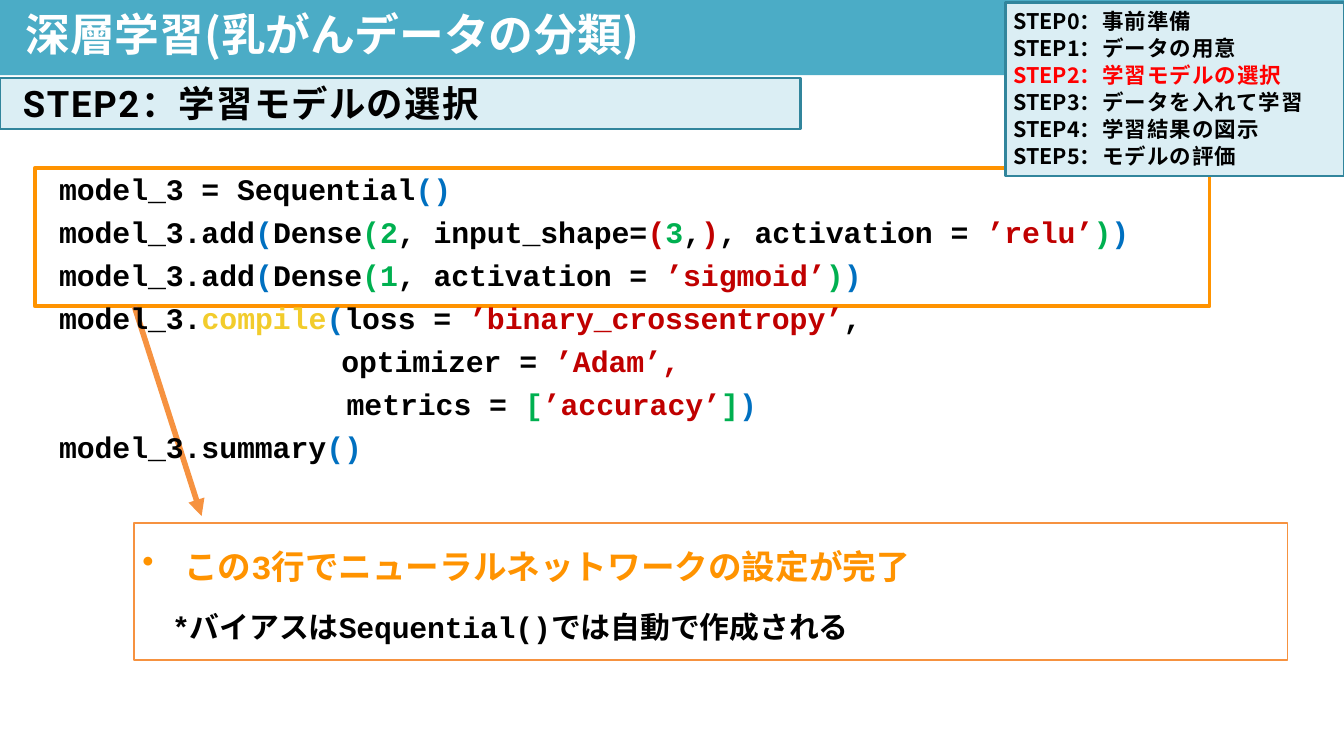
from lxml import etree
from pptx import Presentation
from pptx.dml.color import RGBColor
from pptx.enum.shapes import MSO_CONNECTOR, MSO_SHAPE
from pptx.enum.text import MSO_ANCHOR, MSO_AUTO_SIZE, PP_ALIGN
from pptx.oxml.ns import qn
from pptx.util import Inches, Pt

RECTANGLE = MSO_SHAPE.RECTANGLE
STRAIGHT = MSO_CONNECTOR.STRAIGHT
TOP = MSO_ANCHOR.TOP
NO_AUTOFIT = MSO_AUTO_SIZE.NONE
LEFT = PP_ALIGN.LEFT

WIDTH = 10
HEIGHT = WIDTH * 9 / 16
JAPANESE, MONO, HEADING = "Noto Sans CJK JP", "Courier New", "Roboto"

BLACK = RGBColor(0, 0, 0)
WHITE = RGBColor(255, 255, 255)
TEAL = RGBColor(0x4B, 0xAC, 0xC6)
DARK_TEAL = RGBColor(0x31, 0x85, 0x9C)
PALE_TEAL = RGBColor(0xDB, 0xEE, 0xF4)
ORANGE = RGBColor(0xFF, 0x93, 0)
SOFT_ORANGE = RGBColor(0xF6, 0x92, 0x40)
BLUE = RGBColor(0, 0x70, 0xC0)
GREEN = RGBColor(0, 0xB0, 0x50)
CRIMSON = RGBColor(0xC0, 0, 0)
RED = RGBColor(255, 0, 0)
YELLOW = RGBColor(0xF2, 0xCC, 0x2C)

STEPS = ["事前準備", "データの用意", "学習モデルの選択",
         "データを入れて学習", "学習結果の図示", "モデルの評価"]
CURRENT_STEP = 2

CODE = [
    (0.16, [("model_3 = Sequential", BLACK), ("()", BLUE)]),
    (0.16, [("model_3.add", BLACK), ("(", BLUE), ("Dense", BLACK), ("(2", GREEN),
            (", input_shape=", BLACK), ("(", CRIMSON), ("3", GREEN), (",", BLACK),
            (")", CRIMSON), (", activation = ", BLACK), ("’relu’", CRIMSON),
            (")", GREEN), (")", BLUE)]),
    (0.16, [("model_3.add", BLACK), ("(", BLUE), ("Dense", BLACK), ("(1", GREEN),
            (", activation = ", BLACK), ("’sigmoid’", CRIMSON),
            (")", GREEN), (")", BLUE)]),
    (0.16, [("model_3.", BLACK), ("compile", YELLOW), ("(", BLUE),
            ("loss = ", BLACK), ("’binary_crossentropy’", CRIMSON), (",", BLACK)]),
    (2.26, [("optimizer = ", BLACK), ("’Adam’,", CRIMSON)]),
    (2.3, [("metrics = ", BLACK), ("[", GREEN), ("’accuracy’", CRIMSON),
           ("]", GREEN), (")", BLUE)]),
    (0.16, [("model_3.summary", BLACK), ("()", BLUE)]),
]


def place(box, left, top, width, height):
    box.left, box.top = Inches(left), Inches(top)
    box.width, box.height = Inches(width), Inches(height)


def prepare_frame(box, top_inset=0):
    frame = box.text_frame
    frame.word_wrap = True
    frame.auto_size = NO_AUTOFIT
    frame.vertical_anchor = TOP
    frame.margin_left = frame.margin_right = frame.margin_bottom = 0
    frame.margin_top = Inches(top_inset)
    return frame


def add_text_box(page, left, top, width, height):
    box = page.shapes.add_textbox(0, 0, 0, 0)
    place(box, left, top, width, height)
    return prepare_frame(box)


def add_panel(page, left, top, width, height, fill=None, line=None, weight=1.5):
    panel = page.shapes.add_shape(RECTANGLE, 0, 0, 0, 0)
    place(panel, left, top, width, height)
    panel.shadow.inherit = False
    if fill is None:
        panel.fill.background()
    else:
        panel.fill.solid()
        panel.fill.fore_color.rgb = fill
    if line is None:
        panel.line.fill.background()
    else:
        panel.line.color.rgb = line
        panel.line.width = Pt(weight)
    return panel


def add_arrow(page, start, end, color, weight):
    arrow = page.shapes.add_connector(STRAIGHT, *map(Inches, start + end))
    arrow.line.color.rgb = color
    arrow.line.width = Pt(weight)
    etree.SubElement(arrow.line._get_or_add_ln(), qn("a:tailEnd"), type="triangle")
    etree.SubElement(arrow._element.spPr, qn("a:effectLst"))


def add_para(frame, indent=0, hanging=0, before=0, spacing=None, bullet=None):
    para = frame.paragraphs[0]
    if para.runs:
        para = frame.add_paragraph()
    para.alignment = LEFT
    para.space_before = Pt(before)
    if spacing:
        para.line_spacing = Pt(spacing)
    props = para._p.get_or_add_pPr()
    props.set("marL", str(Inches(indent)))
    props.set("indent", str(Inches(-hanging)))
    if bullet:
        etree.SubElement(props, qn("a:buChar"), char=bullet)
    else:
        etree.SubElement(props, qn("a:buNone"))
    return para


def add_span(para, text, size, color=BLACK, font=JAPANESE, tracking=0):
    span = para.add_run()
    span.text = text
    span.font.name = font
    span.font.size = Pt(size)
    span.font.bold = True
    span.font.color.rgb = color
    props = span._r.get_or_add_rPr()
    props.set("spc", str(round(tracking * 100)))
    etree.SubElement(props, qn("a:ea"), typeface=JAPANESE)


def add_callout(page):
    box = add_panel(page, 1, 3.89, 8.58, 1.02, line=SOFT_ORANGE, weight=1)
    frame = prepare_frame(box, 0.17)
    para = add_para(frame, 0.37, 0.31, before=12.3, bullet="•")
    add_span(para, "この", 18, ORANGE)
    add_span(para, "3", 18, ORANGE, MONO, -0.1)
    add_span(para, "⾏でニューラルネットワークの設定が完了", 18, ORANGE)
    para = add_para(frame, 0.28, before=12.3)
    add_span(para, "*", 16, font=MONO)
    add_span(para, "バイアスは", 16)
    add_span(para, "Sequential()", 16, font=MONO, tracking=-0.1)
    add_span(para, "では⾃動で作成される", 16)


def add_code(page):
    frame = add_text_box(page, 0.28, 1.22, 8.7, 2.25)
    for indent, spans in CODE:
        para = add_para(frame, indent, spacing=23)
        for text, color in spans:
            add_span(para, text, 16, color, MONO, -0.03)


def add_title(page):
    add_panel(page, 0, 0, WIDTH, 0.56, fill=TEAL)
    title = page.shapes.title
    title._element.getparent().append(title._element)
    place(title, 0.18, 0.04, 5.44, 0.36)
    para = add_para(prepare_frame(title, 0.01), 0.01, before=1)
    add_span(para, "深層学習(乳がんデータの分類)", 24, WHITE, tracking=-0.1)


def add_heading(page):
    add_panel(page, 0, 0.58, 5.96, 0.38, PALE_TEAL, DARK_TEAL)
    para = add_para(add_text_box(page, 0.16, 0.6, 3.53, 0.35), 0.01)
    add_span(para, f"STEP{CURRENT_STEP}", 19.5, font=HEADING, tracking=0.9)
    add_span(para, f"：{STEPS[CURRENT_STEP]}", 19.5, tracking=0.6)


def add_steps(page):
    add_panel(page, 7.48, 0.02, 2.52, 1.29, PALE_TEAL, DARK_TEAL)
    body = page.placeholders[1]
    body._element.getparent().append(body._element)
    place(body, 7.53, 0.05, 2.29, 1.23)
    frame = prepare_frame(body)
    for number, step in enumerate(STEPS):
        color = RED if number == CURRENT_STEP else BLACK
        para = add_para(frame, 0.01, spacing=14.5)
        add_span(para, f"STEP{number}", 11.5, color)
        add_span(para, f"：{step}", 11.5, color, tracking=0.5)


def main():
    deck = Presentation()
    deck.slide_width, deck.slide_height = Inches(WIDTH), Inches(HEIGHT)
    page = deck.slides.add_slide(deck.slide_layouts[1])
    add_callout(page)
    add_panel(page, 0.26, 1.25, 8.74, 1.03, line=ORANGE, weight=2)
    add_arrow(page, (1, 2.28), (1.5, 3.84), SOFT_ORANGE, 3)
    add_code(page)
    add_title(page)
    add_heading(page)
    add_steps(page)
    deck.save("out.pptx")


if __name__ == "__main__":
    main()
